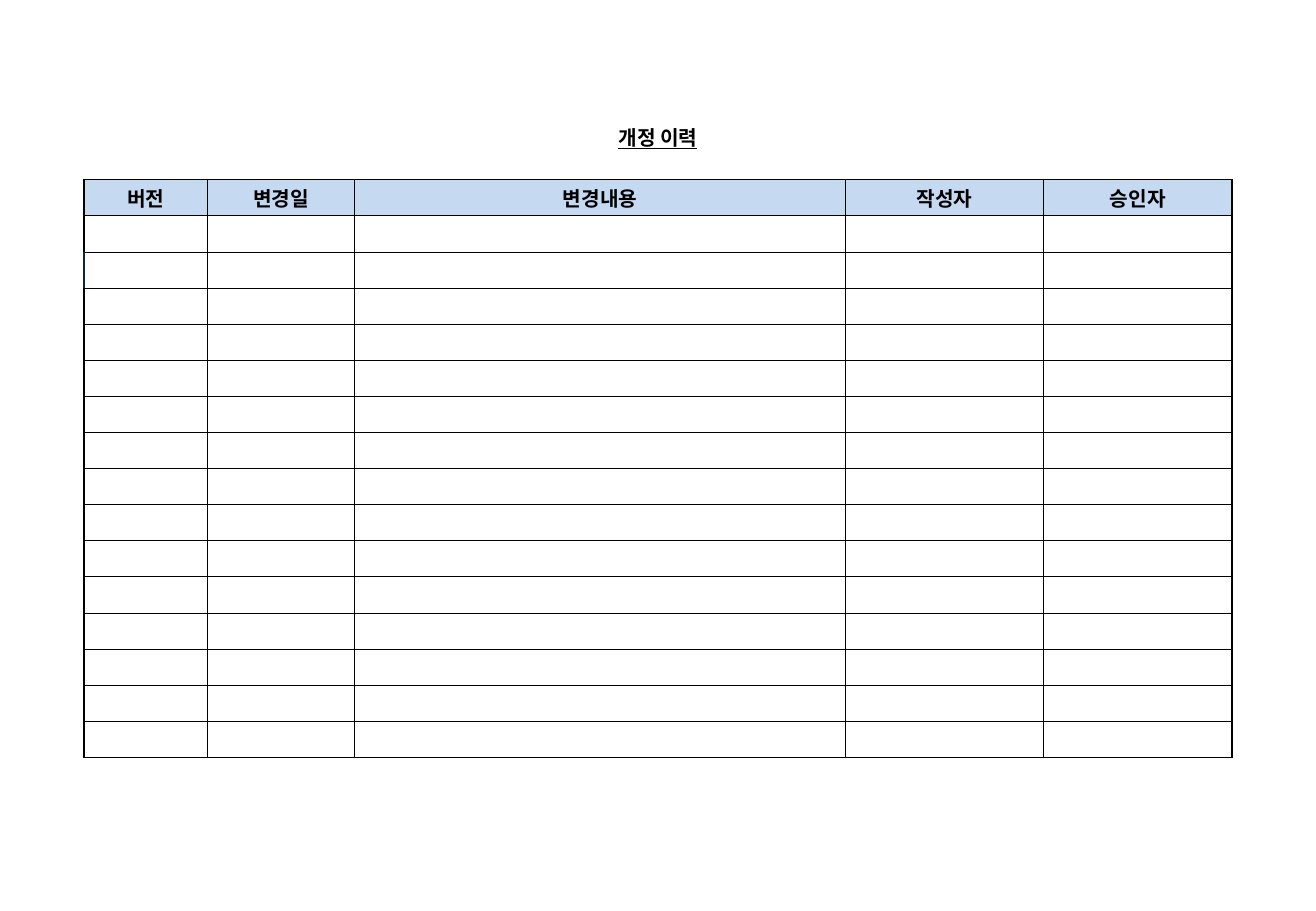
import dataclasses
import pptx
import pptx.dml.color
import pptx.enum.text
import pptx.oxml
import pptx.oxml.ns
import pptx.util

Inches = pptx.util.Inches
Pt = pptx.util.Pt


@dataclasses.dataclass(frozen=True)
class Theme:
    """Hold the colours, type and line widths of the slide."""
    font: str = "Noto Sans CJK KR"
    size: float = 12
    empty_size: float = 10
    ink: str = "000000"
    accent: str = "0F253F"
    header: str = "C5D9F1"
    thin: float = 0.5
    thick: float = 1
    no_style: str = "{2D5ABB26-0587-4C30-8999-92F81FD0307C}"


THEME = Theme()
TITLE = "개정 이력"
HEADERS = ["버전", "변경일", "변경내용", "작성자", "승인자"]
COLUMN_WIDTHS = [1.02, 1.21, 4.04, 1.63, 1.55]
TITLE_HEIGHT, GAP_HEIGHT = 0.27, 0.22
HEADER_ROW, ACCENT_ROW, LAST_ROW = 2, 4, 17


def add_border(cell, side, width, colour):
    """Draw one solid edge of a cell."""
    ns = pptx.oxml.ns.nsdecls("a")
    cell._tc.get_or_add_tcPr().append(pptx.oxml.parse_xml(
        f'<a:ln{side} {ns} w="{Pt(width)}"><a:solidFill>'
        f'<a:srgbClr val="{colour}"/></a:solidFill></a:ln{side}>'))


def write_label(cell, text, underline=False):
    """Write bold centred text in a cell."""
    p = cell.text_frame.paragraphs[0]
    p.text = text
    p.alignment = pptx.enum.text.PP_ALIGN.CENTER
    r = p.runs[0]
    r.font.name = THEME.font
    r.font.size = Pt(THEME.size)
    r.font.bold = True
    r.font.underline = underline
    r.font.color.rgb = pptx.dml.color.RGBColor.from_string(THEME.ink)
    ea = pptx.oxml.parse_xml(
        f'<a:ea {pptx.oxml.ns.nsdecls("a")} typeface="{THEME.font}"/>')
    r.font._element.append(ea)


def format_cell(cell, row, col):
    """Set the margins, empty text size, edges and fill of a cell."""
    cell.margin_left = cell.margin_right = 0
    cell.margin_top = cell.margin_bottom = 0
    cell.vertical_anchor = pptx.enum.text.MSO_ANCHOR.MIDDLE
    end = cell.text_frame.paragraphs[0]._p.get_or_add_endParaRPr()
    end.set("sz", str(THEME.empty_size * 100))
    if row >= HEADER_ROW:
        outer = {"L": col == 0, "R": col == len(HEADERS) - 1,
                 "T": row == HEADER_ROW, "B": row == LAST_ROW}
        for side, is_outer in outer.items():
            accented = row == ACCENT_ROW and col == 0 and side == "L"
            add_border(cell, side, THEME.thick if is_outer else THEME.thin,
                       THEME.accent if accented else THEME.ink)
    elif row == HEADER_ROW - 1:
        add_border(cell, "B", THEME.thick, THEME.ink)
    if row == HEADER_ROW:
        cell.fill.solid()
        cell.fill.fore_color.rgb = pptx.dml.color.RGBColor.from_string(THEME.header)
    else:
        cell.fill.background()


def add_history_table(s, left, top, width, height):
    """Place the revision history table in the given box."""
    table = s.shapes.add_table(
        LAST_ROW + 1, len(HEADERS), Inches(left), Inches(top),
        Inches(width), Inches(height)).table
    table.first_row = table.horz_banding = False
    table._tbl.tblPr.find(pptx.oxml.ns.qn("a:tableStyleId")).text = THEME.no_style
    for column, share in zip(table.columns, COLUMN_WIDTHS):
        column.width = Inches(width * share / sum(COLUMN_WIDTHS))
    grid_rows = LAST_ROW + 1 - HEADER_ROW
    grid_height = (height - TITLE_HEIGHT - GAP_HEIGHT) / grid_rows
    heights = [TITLE_HEIGHT, GAP_HEIGHT] + [grid_height] * grid_rows
    for i, row_height in enumerate(heights):
        table.rows[i].height = Inches(row_height)
        for j in range(len(HEADERS)):
            format_cell(table.cell(i, j), i, j)
    table.cell(0, 0).merge(table.cell(0, len(HEADERS) - 1))
    write_label(table.cell(0, 0), TITLE, underline=True)
    for j, text in enumerate(HEADERS):
        write_label(table.cell(HEADER_ROW, j), text)


def main():
    """Build the revision history slide and save it."""
    prs = pptx.Presentation()
    prs.slide_width, prs.slide_height = Inches(10.83), Inches(7.5)
    s = prs.slides.add_slide(prs.slide_layouts[6])
    add_history_table(s, 0.69, 0.99, 9.45, 5.25)
    prs.save("out.pptx")


if __name__ == "__main__":
    main()
